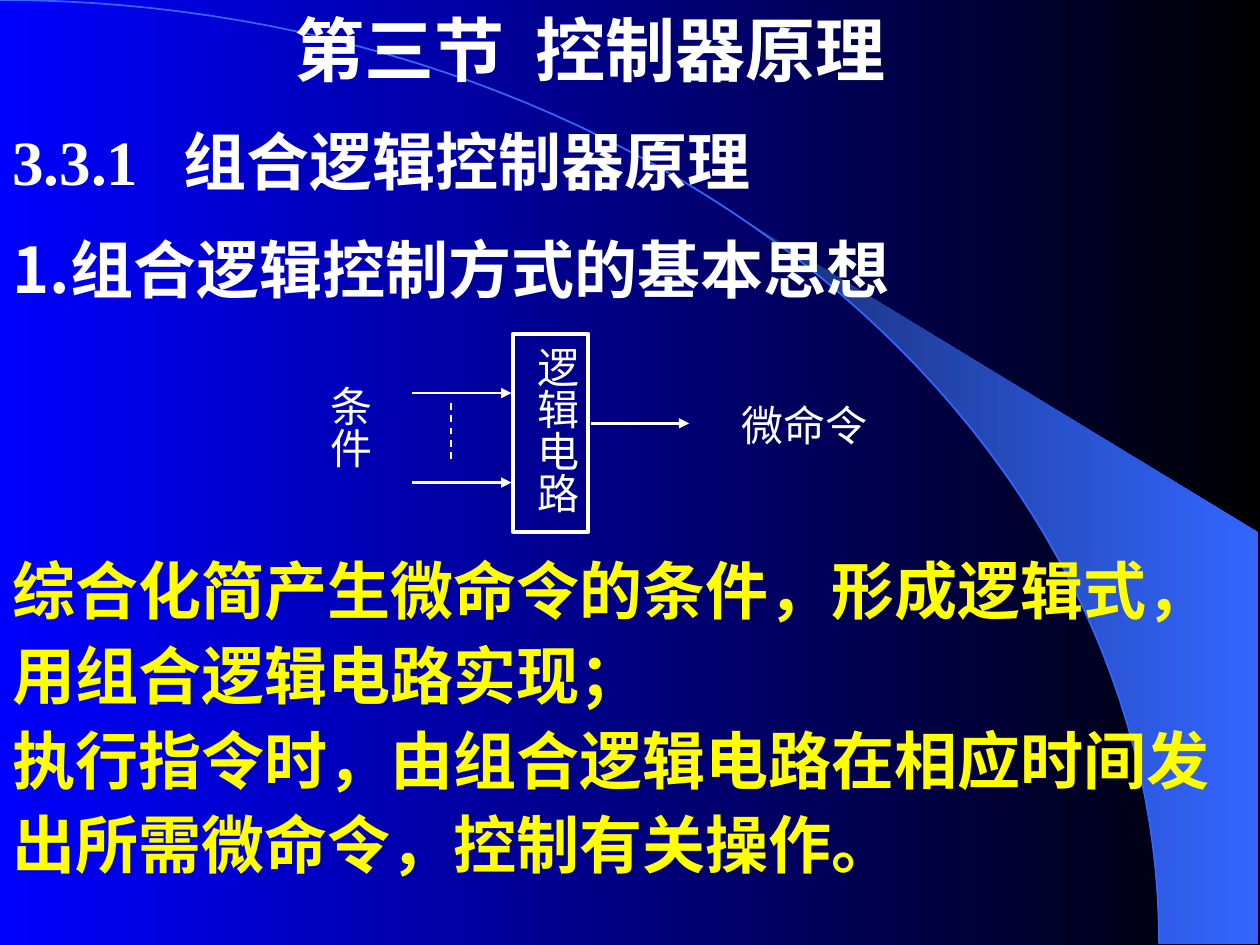
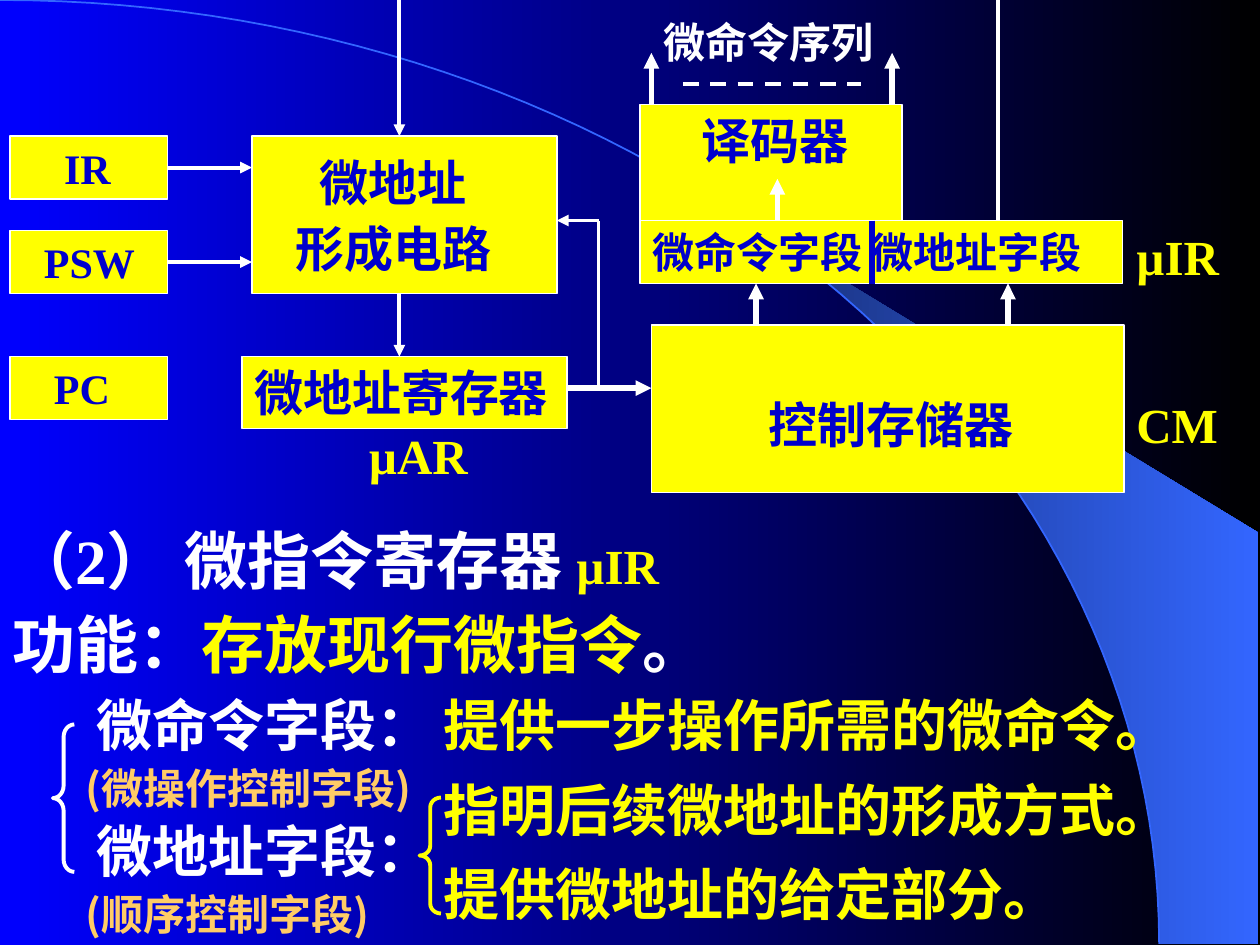
import math

import pptx
import pptx.dml.color
import pptx.enum.dml
import pptx.enum.shapes
import pptx.enum.text
import pptx.oxml.ns
import pptx.util
from lxml import etree

PX = 9144  # EMU per px, 100 px to the inch
SLIDE_W, SLIDE_H = 1000, 750


class Theme:
    white, yellow, navy, amber = "FFFFFF", "FFFF00", "0000CC", "FFCC66"
    backdrop = ("0000FF", "000000")
    beam = ("182F76", "3366FF")
    arc = "3366FF"
    serif, sans = "Times New Roman", "Noto Sans CJK SC"
    title, heading, item, block, note = 40, 36, 32, 28, 24
    thin, edge, flow, line, bus = 0.75, 1, 1.5, 2.25, 3


# --- Formatting helpers ---
def px(length):
    return pptx.util.Emu(round(length * PX))


def rgb(value):
    return pptx.dml.color.RGBColor.from_string(value)


def apply(target, values):
    for name, value in values.items():
        setattr(target, name, value)


def add_element(parent, tag, **attributes):
    child = etree.SubElement(parent, pptx.oxml.ns.qn(tag))
    apply_xml(child, attributes)
    return child


def apply_xml(element, attributes):
    for name, value in attributes.items():
        element.set(name, str(value))


def paint_gradient(fill, colours):
    fill.gradient()
    fill.gradient_angle = 0
    for stop, colour in zip(fill.gradient_stops, colours):
        stop.color.rgb = rgb(colour)


def paint_line(line, colour, width):
    line.color.rgb = rgb(colour)
    line.width = pptx.util.Pt(width)


# --- Text ---
def write(shape, paragraphs, size, colour, font=Theme.serif, bold=True,
          spacing=None, indent=0, tab=None, vertical=False):
    """Each paragraph is a string or a list of (text, overrides) runs."""
    frame = shape.text_frame
    side, end = (5, 10) if vertical else (10, 5)
    apply(frame, {
        "word_wrap": True,
        "vertical_anchor": pptx.enum.text.MSO_ANCHOR.TOP,
        "margin_left": px(side), "margin_right": px(side),
        "margin_top": px(end), "margin_bottom": px(end),
    })
    if vertical:
        frame._txBody.bodyPr.set("vert", "eaVert")
    for number, content in enumerate(paragraphs):
        paragraph = frame.paragraphs[0] if number == 0 else frame.add_paragraph()
        paragraph.alignment = pptx.enum.text.PP_ALIGN.LEFT
        if spacing:
            paragraph.line_spacing = spacing
        if number:
            paragraph.space_before = pptx.util.Pt(size * 0.625)
        properties = paragraph._p.get_or_add_pPr()
        if indent and number == 0:
            apply_xml(properties, {"marL": px(indent), "indent": 0})
        if tab:
            stops = add_element(properties, "a:tabLst")
            add_element(stops, "a:tab", pos=px(tab), algn="l")
        runs = [(content, {})] if isinstance(content, str) else content
        for text, overrides in runs:
            style = {"size": size, "colour": colour, "font": font, **overrides}
            run = paragraph.add_run()
            run.text = text
            apply(run.font, {"name": style["font"], "bold": bold,
                             "size": pptx.util.Pt(style["size"])})
            run.font.color.rgb = rgb(style["colour"])
            add_element(run._r.get_or_add_rPr(), "a:ea", typeface=Theme.sans)


def label(slide, place, paragraphs, size, colour, **options):
    box = slide.shapes.add_textbox(*map(px, place))
    write(box, paragraphs, size, colour, **options)


# --- Shapes ---
def panel(slide, place, fill=Theme.yellow, width=Theme.thin):
    box = slide.shapes.add_shape(
        pptx.enum.shapes.MSO_SHAPE.RECTANGLE, *map(px, place))
    box.shadow.inherit = False
    if fill:
        box.fill.solid()
        box.fill.fore_color.rgb = rgb(fill)
    else:
        box.fill.background()
    paint_line(box.line, Theme.white, width)
    return box


def block(slide, place, text, size, **options):
    box = panel(slide, place)
    write(box, [text], size, Theme.navy, **options)
    return box


def wire(slide, start, end, width, colour=Theme.white, arrow=True,
         dashed=False, source=None):
    connector = slide.shapes.add_connector(
        pptx.enum.shapes.MSO_CONNECTOR.STRAIGHT, *map(px, start + end))
    paint_line(connector.line, colour, width)
    if dashed:
        connector.line.dash_style = pptx.enum.dml.MSO_LINE.DASH
    properties = connector._element.spPr
    if arrow:
        add_element(properties.get_or_add_ln(), "a:tailEnd", type="triangle")
    add_element(properties, "a:effectLst")
    if source:
        connector.begin_connect(source, 3)


def brace(slide, place, colour, curl):
    mark = slide.shapes.add_shape(
        pptx.enum.shapes.MSO_SHAPE.LEFT_BRACE, *map(px, place))
    mark.shadow.inherit = False
    mark.adjustments[0] = curl
    mark.fill.background()
    paint_line(mark.line, colour, Theme.line)


def outline(slide, points, close):
    first, *rest = [(px(x), px(y)) for x, y in points]
    builder = slide.shapes.build_freeform(*first, scale=1.0)
    builder.add_line_segments(rest, close=close)
    shape = builder.convert_to_shape()
    shape.shadow.inherit = False
    return shape


# --- Shared backdrop: a quarter ellipse and the beam touching it ---
def quarter_arc(start_x, steps=60, radius_x=920, radius_y=749):
    start = math.asin(start_x / radius_x)
    angles = [start + (math.pi / 2 - start) * i / steps for i in range(steps + 1)]
    return [(radius_x * math.sin(a), radius_y * (1 - math.cos(a))) for a in angles]


def new_slide(deck):
    slide = deck.slides.add_slide(deck.slide_layouts[6])
    beam = outline(slide, quarter_arc(589) + [(999, 749), (999, 423)], True)
    paint_gradient(beam.fill, Theme.beam)
    beam.line.fill.background()
    arc = outline(slide, quarter_arc(0), False)
    arc.fill.background()
    paint_line(arc.line, Theme.arc, Theme.edge)
    return slide


# --- Slide 1: combinational logic controller ---
def build_principle(deck):
    slide = new_slide(deck)
    label(slide, (224, 0, 578, 77), ["第三节\t控制器原理"],
          Theme.title, Theme.white, tab=191)
    label(slide, (0, 92, 791, 70), ["3.3.1\t组合逻辑控制器原理"],
          Theme.heading, Theme.white, tab=136)
    label(slide, (0, 178, 791, 70), ["1.组合逻辑控制方式的基本思想"],
          Theme.heading, Theme.white, font=Theme.sans)
    label(slide, (0, 454, 1000, 248),
          ["综合化简产生微命令的条件，形成逻辑式，", "用组合逻辑电路实现；",
           "执行指令时，由组合逻辑电路在相应时间发", "出所需微命令，控制有关操作。"],
          Theme.heading, Theme.yellow, font=Theme.sans, spacing=0.6)

    # Conditions -> logic circuit -> micro-commands
    plain = {"size": Theme.note, "colour": Theme.white, "bold": False}
    logic = panel(slide, (407, 265, 60, 157), fill=None, width=Theme.line)
    write(logic, ["逻辑电路"], vertical=True, **plain)
    label(slide, (243, 296, 60, 110), ["条件"], vertical=True, **plain)
    label(slide, (579, 312, 134, 50), ["微命令"], **plain)
    for start, end in (((327, 312), (406, 312)), ((327, 383), (406, 383)),
                       ((469, 336), (547, 336))):
        wire(slide, start, end, Theme.flow)
    wire(slide, (358, 320), (358, 367), Theme.edge, arrow=False, dashed=True)


# --- Slide 2: microprogram controller ---
def build_diagram(slide):
    # Address side
    forming = (200, 108, 242, 125)
    panel(slide, forming)
    label(slide, (225, 133, 225, 91), ["微地址", "形成电路"],
          Theme.block, Theme.navy, spacing=0.6, indent=19)
    registers = {}
    for name, top, indent in (("IR", 108, 33), ("PSW", 183, 17), ("PC", 283, 25)):
        registers[name] = block(slide, (8, top, 125, 50), name, Theme.note,
                                indent=indent)
    for name, y in (("IR", 133), ("PSW", 208)):
        wire(slide, (133, y), (200, y), Theme.line, source=registers[name])
    block(slide, (192, 283, 258, 57), "微地址寄存器", Theme.block)

    # Control memory, instruction register and decoder
    panel(slide, (517, 258, 375, 133))
    label(slide, (600, 308, 233, 57), ["控制存储器"], Theme.block, Theme.navy)
    block(slide, (508, 83, 208, 104), "译码器", Theme.block, indent=39)
    block(slide, (508, 175, 383, 50), "微命令字段 微地址字段", Theme.note,
          font=Theme.sans)
    label(slide, (517, 8, 208, 50), ["微命令序列"], Theme.note, Theme.white)
    for place, name, indent in (((275, 333, 133, 57), "µAR", 8),
                                ((892, 308, 108, 57), "CM", 0),
                                ((892, 175, 108, 57), "µIR", 0)):
        label(slide, place, [name], Theme.block, Theme.yellow, indent=indent)

    # Data paths
    wire(slide, (692, 175), (692, 225), Theme.bus, Theme.navy, arrow=False)
    for x, bottom, top in ((600, 258, 225), (800, 258, 225), (617, 175, 142),
                           (517, 83, 42), (708, 83, 42)):
        wire(slide, (x, bottom), (x, top), Theme.bus)
    wire(slide, (542, 67), (683, 67), Theme.line, arrow=False, dashed=True)
    wire(slide, (450, 308), (517, 308), Theme.bus)
    wire(slide, (475, 308), (475, 175), Theme.line, arrow=False)
    wire(slide, (475, 175), (442, 175), Theme.line)
    wire(slide, (317, 233), (317, 283), Theme.line)
    wire(slide, (792, 0), (792, 175), Theme.line, arrow=False)
    wire(slide, (317, 0), (317, 108), Theme.line)


def build_register_notes(slide):
    tight = {"font": Theme.sans, "spacing": 0.7}
    label(slide, (0, 425, 728, 52),
          [[("（2） ", {"font": Theme.serif}), ("微指令寄存器 ", {}),
            ("µIR", {"font": Theme.serif, "size": Theme.block,
                     "colour": Theme.yellow})]],
          Theme.heading, Theme.white, **tight)
    label(slide, (0, 492, 183, 52), ["功能："], Theme.heading, Theme.white, **tight)
    label(slide, (150, 492, 483, 52),
          [[("存放现行微指令", {}), ("。", {"colour": Theme.white})]],
          Theme.heading, Theme.yellow, **tight)

    # Fields and what they supply
    for top, field, alias in ((558, "微命令字段：", "(微操作控制字段)"),
                              (658, "微地址字段：", "(顺序控制字段)")):
        label(slide, (67, top, 342, 48), [field], Theme.item, Theme.white, **tight)
        label(slide, (58, top + 42, 325, 50), [alias], Theme.note, Theme.amber,
              font=Theme.sans)
    for top, role in ((558, "提供一步操作所需的微命令。"),
                      (625, "指明后续微地址的形成方式。"),
                      (692, "提供微地址的给定部分。")):
        label(slide, (342, top, 658, 48), [role], Theme.item, Theme.yellow, **tight)
    brace(slide, (42, 575, 17, 117), Theme.white, 0.58)
    brace(slide, (333, 633, 17, 92), Theme.yellow, 0.46)


def main():
    deck = pptx.Presentation()
    apply(deck, {"slide_width": px(SLIDE_W), "slide_height": px(SLIDE_H)})
    paint_gradient(deck.slide_master.background.fill, Theme.backdrop)
    build_principle(deck)
    controller = new_slide(deck)
    build_diagram(controller)
    build_register_notes(controller)
    deck.save("out.pptx")


if __name__ == "__main__":
    main()
